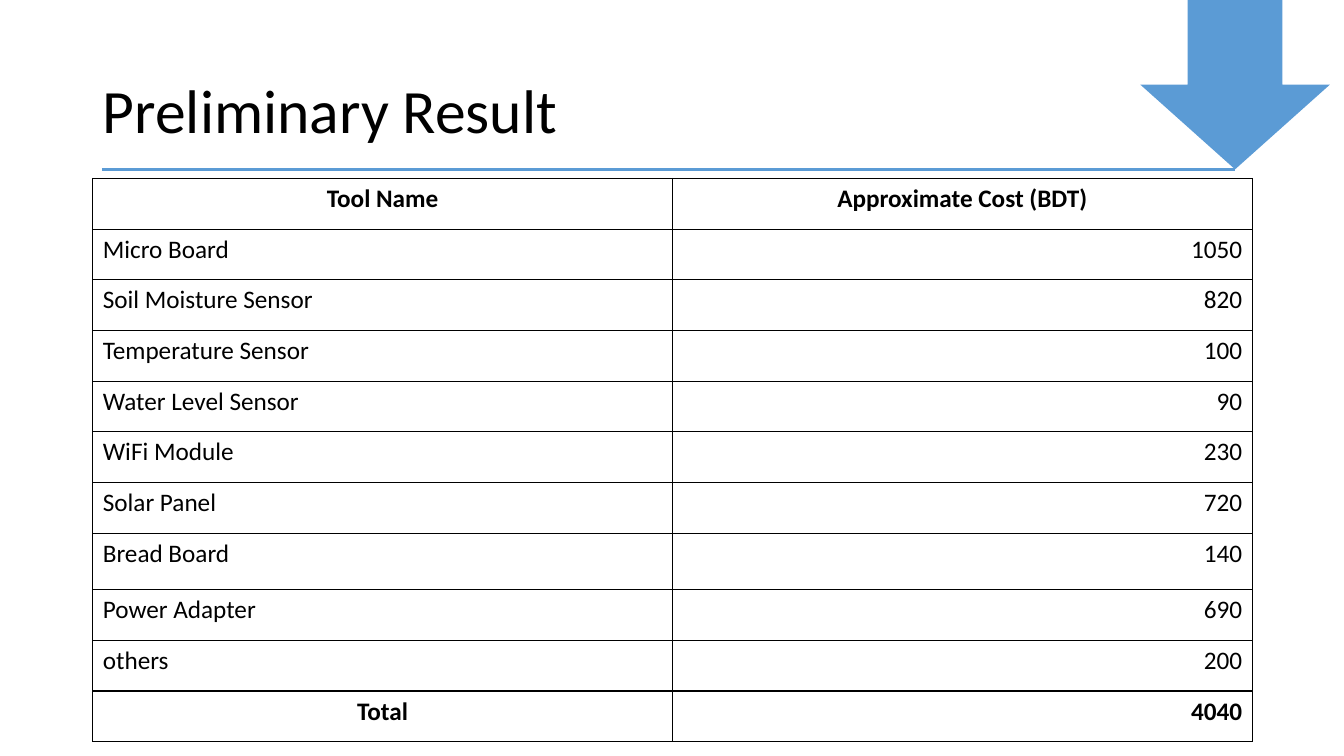
"""Build the Preliminary Result slide with its table of tool costs."""
from dataclasses import dataclass

from lxml import etree
from pptx import Presentation
from pptx import util as u
from pptx.dml.color import RGBColor
from pptx.enum import shapes, text
from pptx.oxml import ns

PX = 9144
TOOL_COSTS = [
    ("Micro Board", 1050),
    ("Soil Moisture Sensor", 820),
    ("Temperature Sensor", 100),
    ("Water Level Sensor", 90),
    ("WiFi Module", 230),
    ("Solar Panel", 720),
    ("Bread Board", 140),
    ("Power Adapter", 690),
    ("others", 200),
]


@dataclass(frozen=True)
class Theme:
    font: str = "Calibri"
    ink: str = "000000"
    accent: str = "5B9BD5"
    title_size: int = 44
    table_size: int = 18
    rule_width: float = 2.5
    border_width: float = 1


def px(*lengths):
    return [u.Emu(round(length * PX)) for length in lengths]


class SlideBuilder:
    def __init__(self, slide, theme):
        self.slide = slide
        self.theme = theme

    def format_paragraph(self, paragraph, size, alignment, bold=False):
        paragraph.alignment = alignment
        font = paragraph.font
        font.name, font.size, font.bold = self.theme.font, u.Pt(size), bold
        font.color.rgb = RGBColor.from_string(self.theme.ink)

    def title(self, words, *box):
        title = self.slide.shapes.title
        title.left, title.top, title.width, title.height = px(*box)
        frame = title.text_frame
        frame.text = words
        frame.auto_size = text.MSO_AUTO_SIZE.NONE
        frame.vertical_anchor = text.MSO_ANCHOR.MIDDLE
        paragraph = frame.paragraphs[0]
        paragraph.line_spacing = 0.9
        self.format_paragraph(paragraph, self.theme.title_size, text.PP_ALIGN.LEFT)

    def cell_borders(self, cell):
        properties = cell._tc.get_or_add_tcPr()
        for position, side in enumerate(("a:lnL", "a:lnR", "a:lnT", "a:lnB")):
            border = etree.Element(ns.qn(side), w=str(u.Pt(self.theme.border_width)))
            fill = etree.SubElement(border, ns.qn("a:solidFill"))
            etree.SubElement(fill, ns.qn("a:srgbClr"), val=self.theme.ink)
            properties.insert(position, border)

    def cell(self, cell, value, alignment, bold):
        cell.text = str(value)
        cell.fill.background()
        self.cell_borders(cell)
        self.format_paragraph(
            cell.text_frame.paragraphs[0], self.theme.table_size, alignment, bold
        )

    def cost_table(self, costs, tall_row, tall_height, *box):
        align = text.PP_ALIGN
        total = sum(cost for _, cost in costs)
        rows = [("Tool Name", "Approximate Cost (BDT)"), *costs, ("Total", total)]
        last = len(rows) - 1
        table = self.slide.shapes.add_table(len(rows), 2, *px(*box)).table
        table.first_row = table.horz_banding = False
        row_height = (box[3] - tall_height) / last
        for index, values in enumerate(rows):
            height = tall_height if index == tall_row else row_height
            table.rows[index].height = px(height)[0]
            bold = index in (0, last)
            alignments = (
                align.CENTER if bold else align.LEFT,
                align.CENTER if index == 0 else align.RIGHT,
            )
            for column, (value, alignment) in enumerate(zip(values, alignments)):
                self.cell(table.cell(index, column), value, alignment, bold)

    def down_arrow(self, *box):
        arrow = self.slide.shapes.add_shape(shapes.MSO_SHAPE.DOWN_ARROW, *px(*box))
        arrow.shadow.inherit = False
        arrow.fill.solid()
        arrow.fill.fore_color.rgb = RGBColor.from_string(self.theme.accent)
        arrow.line.fill.background()

    def rule(self, *ends):
        rule = self.slide.shapes.add_connector(
            shapes.MSO_CONNECTOR.STRAIGHT, *px(*ends)
        )
        rule.line.color.rgb = RGBColor.from_string(self.theme.accent)
        rule.line.width = u.Pt(self.theme.rule_width)
        etree.SubElement(rule._element.spPr, ns.qn("a:effectLst"))


def main():
    presentation = Presentation()
    presentation.slide_width, presentation.slide_height = px(1333, 750)
    slide = presentation.slides.add_slide(presentation.slide_layouts[5])
    builder = SlideBuilder(slide, Theme())
    builder.title("Preliminary Result", 92, 40, 1150, 145)
    builder.cost_table(TOOL_COSTS, 7, 56, 92, 177, 1150, 559)
    builder.down_arrow(1131, 0, 188, 168)
    builder.rule(101, 168, 1225, 168)
    presentation.save("out.pptx")


if __name__ == "__main__":
    main()
